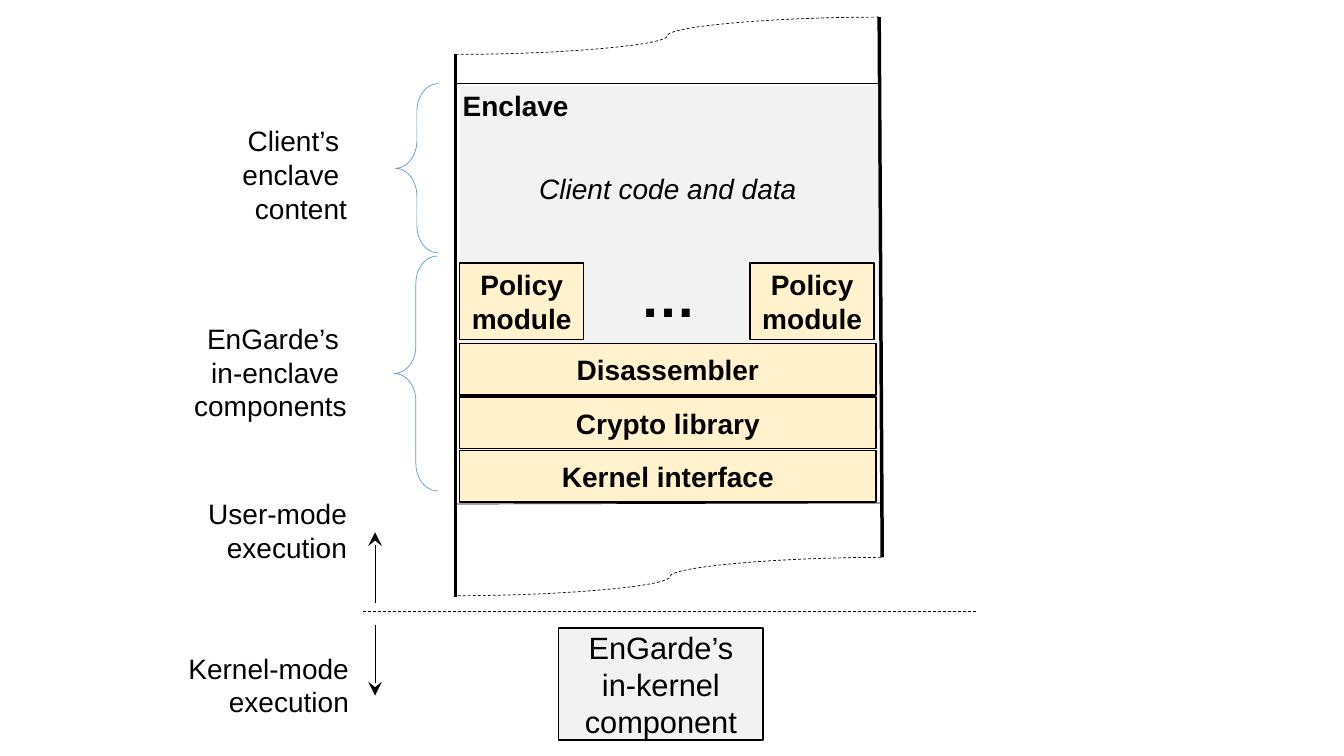
import pptx
import pptx.util
import pptx.dml.color
import pptx.enum.dml
import pptx.enum.shapes
import pptx.enum.text
import pptx.oxml.ns
from lxml import etree

PX = 9144  # EMU per px: 100 px to the inch
BLACK = pptx.dml.color.RGBColor(0x00, 0x00, 0x00)
GREY = pptx.dml.color.RGBColor(0xF2, 0xF2, 0xF2)
CREAM = pptx.dml.color.RGBColor(0xFF, 0xF2, 0xCC)
BLUE = pptx.dml.color.RGBColor(0x5B, 0x9B, 0xD5)

SHAPE = pptx.enum.shapes.MSO_SHAPE
CONNECTOR = pptx.enum.shapes.MSO_CONNECTOR
ALIGN = pptx.enum.text.PP_ALIGN
ANCHOR = pptx.enum.text.MSO_ANCHOR


def px(*lengths):
    return [pptx.util.Emu(length * PX) for length in lengths]


def write(frame, text, size=20, bold=False, italic=False, align=ALIGN.CENTER,
          anchor=ANCHOR.MIDDLE, wrap=True):
    frame.word_wrap = wrap
    frame.vertical_anchor = anchor
    for index, line in enumerate(text.split("\n")):
        paragraph = frame.add_paragraph() if index else frame.paragraphs[0]
        paragraph.alignment = align
        run = paragraph.add_run()
        run.text = line
        run.font.name = "Arial"
        run.font.size = pptx.util.Pt(size)
        run.font.bold = bold
        run.font.italic = italic
        run.font.color.rgb = BLACK


def add_label(slide, box, text, **text_format):
    label = slide.shapes.add_textbox(*px(*box))
    write(label.text_frame, text, **text_format)
    if not label.text_frame.word_wrap:
        label.text_frame.auto_size = pptx.enum.text.MSO_AUTO_SIZE.SHAPE_TO_FIT_TEXT


def add_block(slide, box, text, fill, border=1, kind=SHAPE.RECTANGLE, **text_format):
    block = slide.shapes.add_shape(kind, *px(*box))
    block.shadow.inherit = False
    block.fill.solid()
    block.fill.fore_color.rgb = fill
    if border:
        block.line.color.rgb = BLACK
        block.line.width = pptx.util.Pt(border)
    else:
        block.line.fill.background()
    write(block.text_frame, text, **text_format)


def add_line(slide, start, end, width=0.5, dashed=False, arrow=False,
             kind=CONNECTOR.STRAIGHT):
    line = slide.shapes.add_connector(kind, *px(*start, *end))
    line.line.color.rgb = BLACK
    line.line.width = pptx.util.Pt(width)
    if dashed:
        line.line.dash_style = pptx.enum.dml.MSO_LINE.DASH
    if arrow:
        etree.SubElement(line.line._get_or_add_ln(), pptx.oxml.ns.qn("a:tailEnd"),
                         type="stealth", w="lg", len="lg")
    etree.SubElement(line._element.spPr, pptx.oxml.ns.qn("a:effectLst"))


def add_address_space(slide, left, top, width, height):
    """Process memory: two walls with torn ends."""
    tear = 37
    right, bottom = left + width, top + height
    add_line(slide, (left, top + tear), (left, bottom), width=2.5)
    add_line(slide, (right, top), (right + 3, bottom - tear - 2), width=2.5)
    add_line(slide, (left, top + tear), (right, top), dashed=True, kind=CONNECTOR.CURVE)
    add_line(slide, (left + 2, bottom - 1), (right + 3, bottom - tear - 2),
             dashed=True, kind=CONNECTOR.CURVE)


def add_enclave(slide, left, top, width, height):
    # Enclave area and its limits
    bottom = top + height
    add_line(slide, (left - 6, top - 2), (left + width + 1, top - 2))
    add_block(slide, (left, top, width, height), "…", GREY, border=0, size=40, bold=True)
    add_line(slide, (left - 5, bottom), (left + width + 2, bottom - 1))

    # Policy modules at both ends
    module_width = 123
    for module_left in (left, left + width - 4 - module_width):
        add_block(slide, (module_left, top + 176, module_width, 76),
                  "Policy module", CREAM, bold=True)

    # Stacked layers
    layers = ["Disassembler", "Crypto library", "Kernel interface"]
    for index, layer in enumerate(layers):
        add_block(slide, (left, top + 256 + 53 * index, width - 2, 51),
                  layer, CREAM, bold=True)

    # Labels inside the enclave
    add_label(slide, (left - 7, top - 2, 126, 44), "Enclave", bold=True,
              align=ALIGN.LEFT, anchor=ANCHOR.TOP, wrap=False)
    add_label(slide, (left, top + 37, width - 2, 129), "Client code and data", italic=True)


def add_side_label(slide, box, text):
    add_label(slide, box, text, align=ALIGN.RIGHT, anchor=ANCHOR.TOP, wrap=False)


def add_braced_part(slide, left, top, width, height, text, label_box):
    brace = slide.shapes.add_shape(SHAPE.LEFT_BRACE, *px(left, top, width, height))
    brace.shadow.inherit = False
    brace.fill.background()
    brace.line.color.rgb = BLUE
    brace.line.width = pptx.util.Pt(0.5)
    brace.adjustments[0] = 0.635
    add_side_label(slide, label_box, text)


def add_mode_boundary(slide, left, top, width, height):
    """Border between user mode and kernel mode, centred in its box."""
    border = top + height // 2
    arrow_x = left + 12
    add_line(slide, (left, border), (left + width, border), dashed=True)
    add_line(slide, (arrow_x, border - 9), (arrow_x, border - 79), arrow=True)
    add_line(slide, (arrow_x, border + 13), (arrow_x, border + 83), arrow=True)
    add_side_label(slide, (left - 165, border - 119, 159, 77), "User-mode\nexecution")
    add_side_label(slide, (left - 185, border + 34, 181, 77), "Kernel-mode\nexecution")
    add_block(slide, (left + 194, border + 16, 203, 111),
              "EnGarde’s in-kernel component", GREY, border=1.25,
              kind=SHAPE.FLOWCHART_PROCESS, size=22)


def main():
    deck = pptx.Presentation()
    deck.slide_width, deck.slide_height = px(1333, 750)
    slide = deck.slides.add_slide(deck.slide_layouts[6])

    add_address_space(slide, 452, 17, 420, 575)
    add_enclave(slide, 456, 85, 415, 415)
    add_braced_part(slide, 392, 83, 43, 168, "Client’s \nenclave \ncontent",
                    (229, 118, 125, 111))
    add_braced_part(slide, 391, 254, 43, 233, "EnGarde’s \nin-enclave \ncomponents",
                    (181, 314, 173, 111))
    add_mode_boundary(slide, 360, 480, 608, 254)
    deck.save("out.pptx")


if __name__ == "__main__":
    main()
